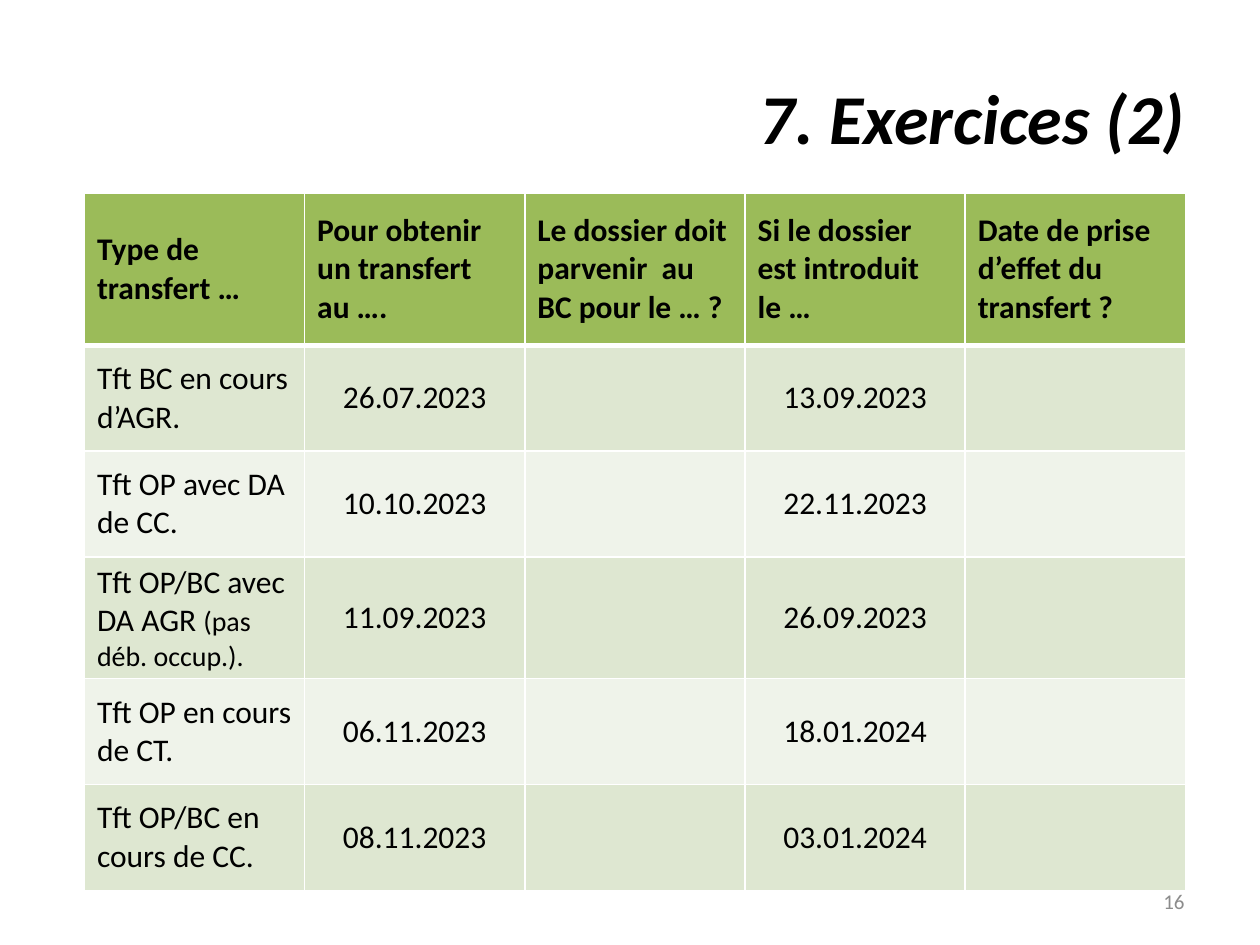
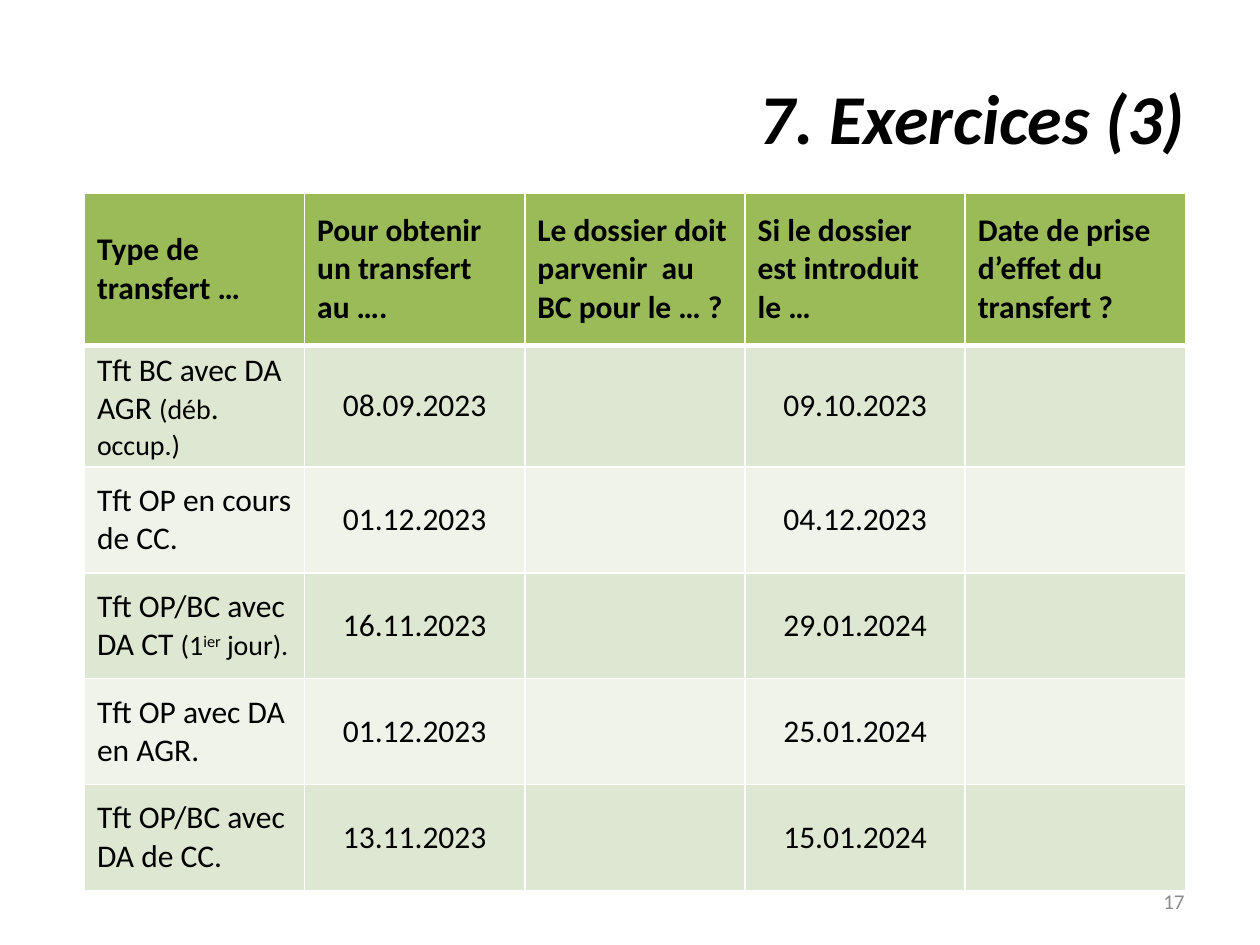
"""Build two exercise slides, each a table of transfer types and dates to complete."""
from dataclasses import dataclass

import pptx
import pptx.dml.color
import pptx.enum.text
import pptx.oxml
import pptx.oxml.ns
import pptx.util
from pptx.util import Inches

ALIGN = pptx.enum.text.PP_ALIGN
MIDDLE = pptx.enum.text.MSO_ANCHOR.MIDDLE


@dataclass(frozen=True)
class Theme:
    font: str = "Calibri"
    ink: str = "000000"
    muted: str = "8C8C8C"
    rule: str = "FFFFFF"
    header: str = "9BBB59"
    bands: tuple = ("DEE7D1", "EFF3EA")
    title_size: int = 40
    body_size: int = 18
    detail_size: int = 16
    number_size: int = 12
    thin: int = 1
    thick: int = 3


THEME = Theme()
DETAIL = {"size": THEME.detail_size}
RAISED = {"size": THEME.detail_size, "baseline": 30}

HEADINGS = [
    ["Type de transfert …"],
    ["Pour obtenir un transfert", "au …."],
    ["Le dossier doit parvenir  au BC pour le … ?"],
    ["Si le dossier est introduit", "le …"],
    ["Date de prise d’effet du transfert ?"],
]

EXERCISES = [
    {"title": "7. Exercices (2)", "number": "16", "transfers": [
        ([("Tft BC en cours d’AGR.", {})], "26.07.2023", "13.09.2023"),
        ([("Tft OP avec DA de CC.", {})], "10.10.2023", "22.11.2023"),
        ([("Tft OP/BC avec DA AGR ", {}), ("(pas déb. occup.).", DETAIL)],
         "11.09.2023", "26.09.2023"),
        ([("Tft OP en cours de CT.", {})], "06.11.2023", "18.01.2024"),
        ([("Tft OP/BC en cours de CC.", {})], "08.11.2023", "03.01.2024"),
    ]},
    {"title": "7. Exercices (3)", "number": "17", "transfers": [
        ([("Tft BC avec DA AGR ", {}), ("(déb", DETAIL), (". ", {}), ("occup.)", DETAIL)],
         "08.09.2023", "09.10.2023"),
        ([("Tft OP en cours de CC.", {})], "01.12.2023", "04.12.2023"),
        ([("Tft OP/BC avec DA CT ", {}), ("(1", DETAIL), ("ier", RAISED), (" jour).", DETAIL)],
         "16.11.2023", "29.01.2024"),
        ([("Tft OP avec DA en AGR.", {})], "01.12.2023", "25.01.2024"),
        ([("Tft OP/BC avec DA de CC.", {})], "13.11.2023", "15.01.2024"),
    ]},
]

TITLE_AREA = (0.5, 0.3, 9, 1.25)
NUMBER_AREA = (7.17, 6.95, 2.33, 0.4)
TABLE_LEFT, TABLE_TOP, TABLE_WIDTH = 0.67, 1.53, 8.74
HEADER_HEIGHT, ROW_HEIGHT = 1.21, 0.84


def rgb(color):
    return pptx.dml.color.RGBColor.from_string(color)


def add_run(paragraph, text, size=THEME.body_size, color=THEME.ink,
            bold=False, italic=False, baseline=0):
    run = paragraph.add_run()
    run.text = text
    run.font.name = THEME.font
    run.font.size = pptx.util.Pt(size)
    run.font.color.rgb = rgb(color)
    run.font.bold = bold
    run.font.italic = italic
    if baseline:
        run._r.get_or_add_rPr().set("baseline", str(baseline * 1000))


def add_label(slide, area, text, **style):
    frame = slide.shapes.add_textbox(*map(Inches, area)).text_frame
    frame.word_wrap = True
    frame.vertical_anchor = MIDDLE
    paragraph = frame.paragraphs[0]
    paragraph.alignment = ALIGN.RIGHT
    add_run(paragraph, text, **style)


def style_cell(cell, fill, top=THEME.thin, bottom=THEME.thin):
    properties = cell._tc.get_or_add_tcPr()
    edges = {"lnL": THEME.thin, "lnR": THEME.thin, "lnT": top, "lnB": bottom}
    for edge, points in edges.items():
        properties.append(pptx.oxml.parse_xml(
            f'<a:{edge} {pptx.oxml.ns.nsdecls("a")} w="{pptx.util.Pt(points)}">'
            f'<a:solidFill><a:srgbClr val="{THEME.rule}"/></a:solidFill></a:{edge}>'))
    cell.fill.solid()
    cell.fill.fore_color.rgb = rgb(fill)
    cell.vertical_anchor = MIDDLE


def fill_cell(cell, paragraphs, alignment=ALIGN.LEFT):
    frame = cell.text_frame
    for index, runs in enumerate(paragraphs):
        paragraph = frame.add_paragraph() if index else frame.paragraphs[0]
        paragraph.alignment = alignment
        for text, style in runs:
            add_run(paragraph, text, **style)


def add_exercise_table(slide, transfers):
    height = HEADER_HEIGHT + ROW_HEIGHT * len(transfers)
    table = slide.shapes.add_table(
        len(transfers) + 1, len(HEADINGS),
        *map(Inches, (TABLE_LEFT, TABLE_TOP, TABLE_WIDTH, height))).table
    for column in table.columns:
        column.width = Inches(TABLE_WIDTH / len(HEADINGS))
    for index, row in enumerate(table.rows):
        row.height = Inches(ROW_HEIGHT if index else HEADER_HEIGHT)

    for column, lines in enumerate(HEADINGS):
        cell = table.cell(0, column)
        style_cell(cell, THEME.header, bottom=THEME.thick)
        fill_cell(cell, [[(line, {"bold": True})] for line in lines])

    for row, (transfer, wanted, introduced) in enumerate(transfers, start=1):
        band = THEME.bands[(row - 1) % 2]
        for column in range(len(HEADINGS)):
            style_cell(table.cell(row, column), band,
                       top=THEME.thick if row == 1 else THEME.thin)
        fill_cell(table.cell(row, 0), [transfer])
        for column, date in ((1, wanted), (3, introduced)):
            fill_cell(table.cell(row, column), [[(date, {})]], ALIGN.CENTER)


def main():
    deck = pptx.Presentation()
    deck.slide_width, deck.slide_height = Inches(10), Inches(7.5)
    for exercise in EXERCISES:
        slide = deck.slides.add_slide(deck.slide_layouts[6])
        add_label(slide, TITLE_AREA, exercise["title"],
                  size=THEME.title_size, bold=True, italic=True)
        add_label(slide, NUMBER_AREA, exercise["number"],
                  size=THEME.number_size, color=THEME.muted)
        add_exercise_table(slide, exercise["transfers"])
    deck.save("out.pptx")


if __name__ == "__main__":
    main()
